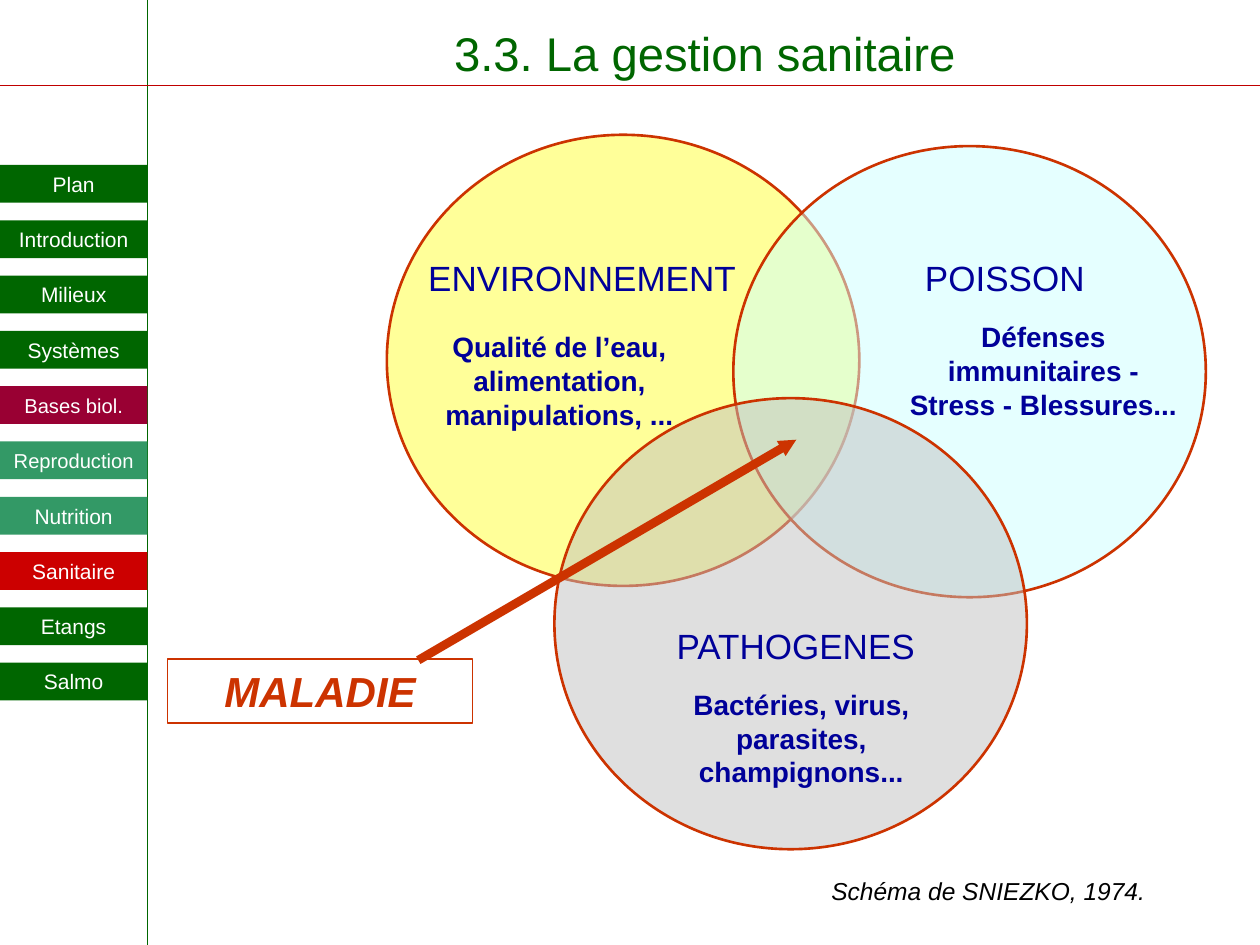
from lxml.etree import SubElement
from pptx import Presentation
from pptx.dml.color import RGBColor
from pptx.enum.shapes import MSO_CONNECTOR as Connector, MSO_SHAPE as Shape
from pptx.enum.text import MSO_ANCHOR as Anchor, PP_ALIGN as Align
from pptx.oxml.ns import qn
from pptx.util import Inches, Pt

GREEN = RGBColor(0x00, 0x66, 0x00)
LIGHT_GREEN = RGBColor(0x33, 0x99, 0x66)
PLUM = RGBColor(0x99, 0x00, 0x33)
RED = RGBColor(0xCC, 0x00, 0x00)
DARK_RED = RGBColor(0xC0, 0x00, 0x00)
ORANGE = RGBColor(0xCC, 0x33, 0x00)
NAVY = RGBColor(0x00, 0x00, 0x99)
YELLOW = RGBColor(0xFF, 0xFF, 0x99)
CYAN = RGBColor(0xCC, 0xFF, 0xFF)
GREY = RGBColor(0xC0, 0xC0, 0xC0)
WHITE = RGBColor(0xFF, 0xFF, 0xFF)
BLACK = RGBColor(0x00, 0x00, 0x00)


class SlideBuilder:
    font = "Arial"

    def __init__(self, deck):
        self.page = deck.slides.add_slide(deck.slide_layouts[5])

    def fill_text(self, shape, text, size, color, bold=False, italic=False,
                  align=Align.CENTER, anchor=Anchor.TOP):
        frame = shape.text_frame
        frame.word_wrap = True
        frame.vertical_anchor = anchor
        para = frame.paragraphs[0]
        para.alignment = align
        for number, line in enumerate(text.split("\n")):
            if number:
                para.add_line_break()
            span = para.add_run()
            span.text = line
            span.font.name = self.font
            span.font.size = Pt(size)
            span.font.bold = bold
            span.font.italic = italic
            span.font.color.rgb = color
        return frame

    def title(self, text, left, top, width, height):
        holder = self.page.shapes.title
        holder.left, holder.top = Inches(left), Inches(top)
        holder.width, holder.height = Inches(width), Inches(height)
        frame = self.fill_text(holder, text, 27, GREEN)
        frame.margin_top, frame.margin_bottom = Inches(0.1), 0

    def label(self, text, left, top, width, height, size, color, **style):
        box = self.page.shapes.add_textbox(
            Inches(left), Inches(top), Inches(width), Inches(height))
        self.fill_text(box, text, size, color, **style)

    def shape(self, kind, left, top, width, height, fill=None, line=None,
              weight=1.0, alpha=None):
        shape = self.page.shapes.add_shape(
            kind, Inches(left), Inches(top), Inches(width), Inches(height))
        shape.shadow.inherit = False
        if fill is None:
            shape.fill.background()
        else:
            shape.fill.solid()
            shape.fill.fore_color.rgb = fill
        if alpha is not None:
            color = shape._element.spPr.find(qn("a:solidFill"))[0]
            SubElement(color, qn("a:alpha"), val=str(alpha * 1000))
        if line is None:
            shape.line.fill.background()
        else:
            shape.line.color.rgb = line
            shape.line.width = Pt(weight)
        return shape

    def line(self, start, end, color, weight, arrow=False):
        line = self.page.shapes.add_connector(
            Connector.STRAIGHT, *map(Inches, start + end))
        line.line.color.rgb = color
        line.line.width = Pt(weight)
        properties = line._element.spPr
        if arrow:
            SubElement(properties.find(qn("a:ln")), qn("a:tailEnd"),
                       type="triangle", w="sm", len="sm")
        SubElement(properties, qn("a:effectLst"))


def main():
    deck = Presentation()
    deck.slide_width, deck.slide_height = Inches(10), Inches(7.5)
    slide = SlideBuilder(deck)

    # Title
    slide.title("3.3. La gestion sanitaire", 1.38, 0.09, 8.43, 0.46)

    # Venn diagram: circle position and fill, then heading and detail boxes
    circles = [
        ((3.07, 1.07), YELLOW, None,
         "ENVIRONNEMENT", (3.3, 1.99, 2.73), Align.LEFT,
         "Qualité de l’eau, alimentation,\nmanipulations, ...", (3.23, 2.57)),
        ((5.82, 1.16), CYAN, 50,
         "POISSON", (6.73, 1.99, 2.49), Align.CENTER,
         "Défenses immunitaires - Stress - Blessures...", (7.07, 2.49)),
        ((4.4, 3.16), GREY, 50,
         "PATHOGENES", (5.07, 4.91, 2.49), Align.CENTER,
         "Bactéries, virus, parasites, champignons...", (5.15, 5.41)),
    ]
    for corner, fill, alpha, heading, place, align, detail, spot in circles:
        slide.shape(Shape.OVAL, *corner, 3.75, 3.58, fill, ORANGE, 1.5, alpha)
        slide.label(heading, *place, 0.43, 20, NAVY, align=align)
        slide.label(detail, *spot, 2.42, 0.9, 16, NAVY, bold=True)

    # Disease, where the three circles meet
    slide.line((3.32, 5.24), (6.32, 3.49), ORANGE, 5, arrow=True)
    disease = slide.shape(Shape.RECTANGLE, 1.33, 5.23, 2.42, 0.51, line=ORANGE)
    slide.fill_text(disease, "MALADIE", 24, ORANGE, bold=True, italic=True)

    # Credit for the diagram
    slide.label("Schéma de SNIEZKO, 1974.", 6.5, 6.9, 3.17, 0.33, 14, BLACK,
                italic=True, align=Align.LEFT)

    # Frame lines
    slide.line((1.17, 0), (1.17, 7.5), GREEN, 0.75)
    slide.line((0, 0.68), (10, 0.68), DARK_RED, 0.75)

    # Chapter menu
    chapters = [
        ("Plan", GREEN, 12), ("Introduction", GREEN, 12),
        ("Milieux", GREEN, 12), ("Systèmes", GREEN, 12),
        ("Bases biol.", PLUM, 11.5), ("Reproduction", LIGHT_GREEN, 11.5),
        ("Nutrition", LIGHT_GREEN, 12), ("Sanitaire", RED, 12),
        ("Etangs", GREEN, 12), ("Salmo", GREEN, 12),
    ]
    first, last = 1.31, 5.26
    pitch = (last - first) / (len(chapters) - 1)
    for row, (name, fill, size) in enumerate(chapters):
        tab = slide.shape(Shape.RECTANGLE, 0, first + row * pitch, 1.17, 0.3, fill)
        frame = slide.fill_text(tab, name, size, WHITE, anchor=Anchor.MIDDLE)
        frame.margin_left = frame.margin_right = Inches(0.05)

    deck.save("out.pptx")


if __name__ == "__main__":
    main()
